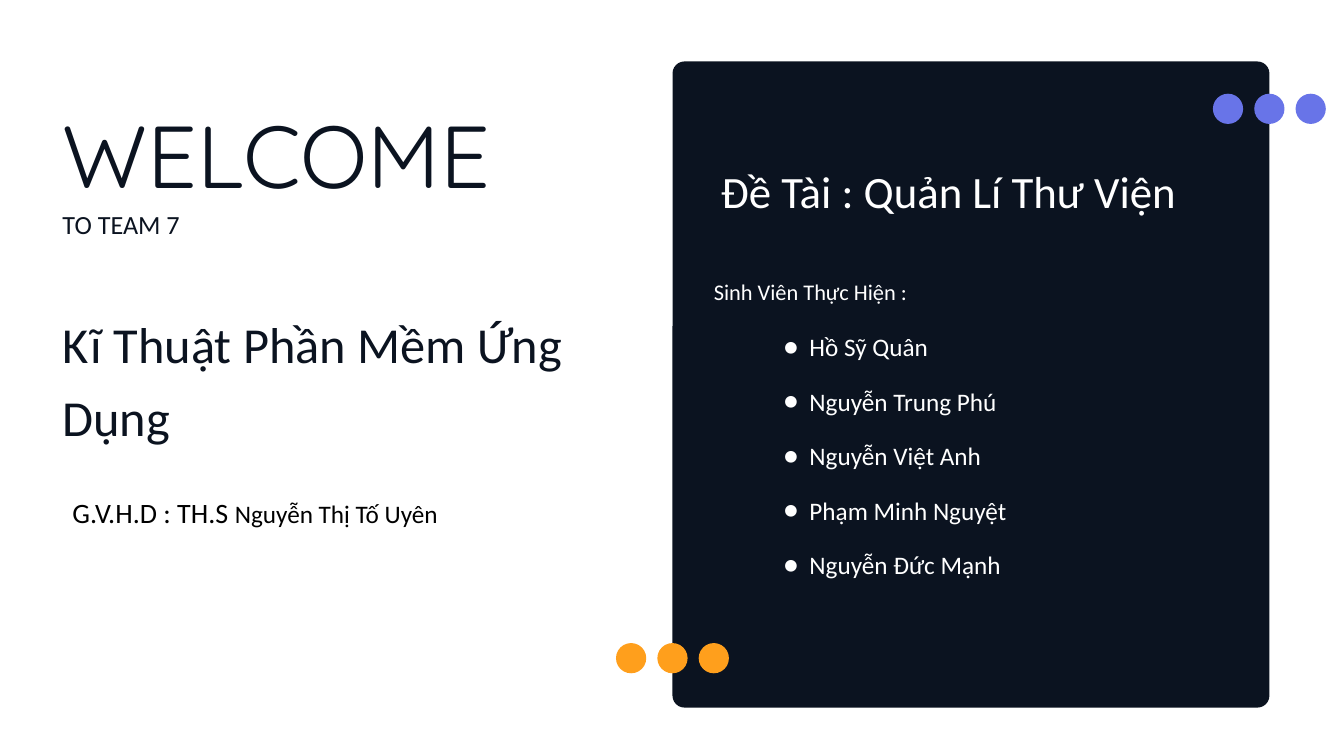
from lxml import etree
from pptx import Presentation
from pptx.dml.color import RGBColor
from pptx.enum import shapes, text
from pptx.oxml.ns import qn
from pptx.util import Inches, Pt

# Content
NAVY, WHITE, BLACK = "0B1320", "FFFFFF", "000000"
VIOLET, ORANGE = "6874E8", "FF9F1C"

# box (left, top, width, height), inset, line spacing, colour, runs (text, size)
TITLE = ((0.62, 0.79, 5.04, 1.27), 0, 1.2, NAVY, [("WELCOME", 62.7)])
TEXTS = [
    ((7.15, 1.36, 4.94, 0.81), 0, 1.5, WHITE, [("Đề Tài : Quản Lí Thư Viện", 32)]),
    ((7.08, 2.63, 4.54, 0.4), 0, 1.5, WHITE, [("Sinh Viên Thực Hiện :", 16)]),
    ((0.62, 1.94, 5.04, 0.44), 0, 1.4, NAVY, [("TO TEAM 7", 18.7)]),
    ((0.62, 2.99, 5.04, 1.45), 0, 1.2, NAVY, [("Kĩ Thuật Phần Mềm Ứng Dụng", 36)]),
    ((0.62, 4.87, 4.4, 0.44), 0.1, 1.0, BLACK,
     [("G.V.H.D : TH.S ", 20), ("Nguyễn Thị Tố Uyên", 18)]),
]
STUDENTS = ["Hồ Sỹ Quân", "Nguyễn Trung Phú", "Nguyễn Việt Anh",
            "Phạm Minh Nguyệt", "Nguyễn Đức Mạnh"]
STUDENT_BOX = (7.67, 3.24, 4.02, 2.58)
PANEL = (6.67, 0.61, 5.92, 6.41)
DOT_ROWS = [(12.03, 0.93, VIOLET), (6.11, 6.38, ORANGE)]
DOT_SIZE, DOT_STEP, DOTS = 0.3, 0.41, 3

prs = Presentation()
prs.slide_width, prs.slide_height = Inches(13.33), Inches(7.5)
s = prs.slides.add_slide(prs.slide_layouts[5])


def rgb(color):
    return RGBColor.from_string(color)


def set_all(obj, values):
    for name, value in values.items():
        setattr(obj, name, value)


def add_block(kind, box, color):
    sp = s.shapes.add_shape(kind, *map(Inches, box))
    sp.shadow.inherit = False
    sp.fill.solid()
    sp.fill.fore_color.rgb = rgb(color)
    sp.line.fill.background()
    return sp


def setup_frame(sp, inset):
    margins = {"margin_left": Inches(inset), "margin_right": Inches(inset),
               "margin_top": Inches(inset / 2), "margin_bottom": Inches(inset / 2)}
    set_all(sp.text_frame, {"word_wrap": True, "vertical_anchor": text.MSO_ANCHOR.TOP,
                            "auto_size": text.MSO_AUTO_SIZE.SHAPE_TO_FIT_TEXT, **margins})
    return sp.text_frame


def write(p, runs, color, font="Calibri", spacing=1.0):
    set_all(p, {"line_spacing": spacing, "alignment": text.PP_ALIGN.LEFT})
    for words, size in runs:
        r = p.add_run()
        r.text = words
        set_all(r.font, {"name": font, "size": Pt(size)})
        r.font.color.rgb = rgb(color)


def add_bullet(p, indent):
    pPr = p._p.get_or_add_pPr()
    pPr.set("marL", str(Inches(indent)))
    pPr.set("indent", str(-Inches(indent)))
    etree.SubElement(pPr, qn("a:buFont"), typeface="Calibri")
    etree.SubElement(pPr, qn("a:buChar"), char="●")


# Title
box, inset, spacing, color, runs = TITLE
title = s.shapes.title
set_all(title, dict(zip(("left", "top", "width", "height"), map(Inches, box))))
write(setup_frame(title, inset).paragraphs[0], runs, color, "Quicksand", spacing)

# Dark panel
panel = add_block(shapes.MSO_SHAPE.ROUNDED_RECTANGLE, PANEL, NAVY)
panel.adjustments[0] = 0.02

# Rows of dots on the panel's edges
for left, top, color in DOT_ROWS:
    for i in range(DOTS):
        add_block(shapes.MSO_SHAPE.OVAL,
                  (left + i * DOT_STEP, top, DOT_SIZE, DOT_SIZE), color)

# Single texts
for box, inset, spacing, color, runs in TEXTS:
    tf = setup_frame(s.shapes.add_textbox(*map(Inches, box)), inset)
    write(tf.paragraphs[0], runs, color, spacing=spacing)

# Student list
tf = setup_frame(s.shapes.add_textbox(*map(Inches, STUDENT_BOX)), 0.1)
for i, student in enumerate(STUDENTS):
    p = tf.add_paragraph() if i else tf.paragraphs[0]
    write(p, [(student, 18)], WHITE)
    p.space_before = Pt(17.3 if i else 0)
    add_bullet(p, 0.26)

prs.save("out.pptx")
